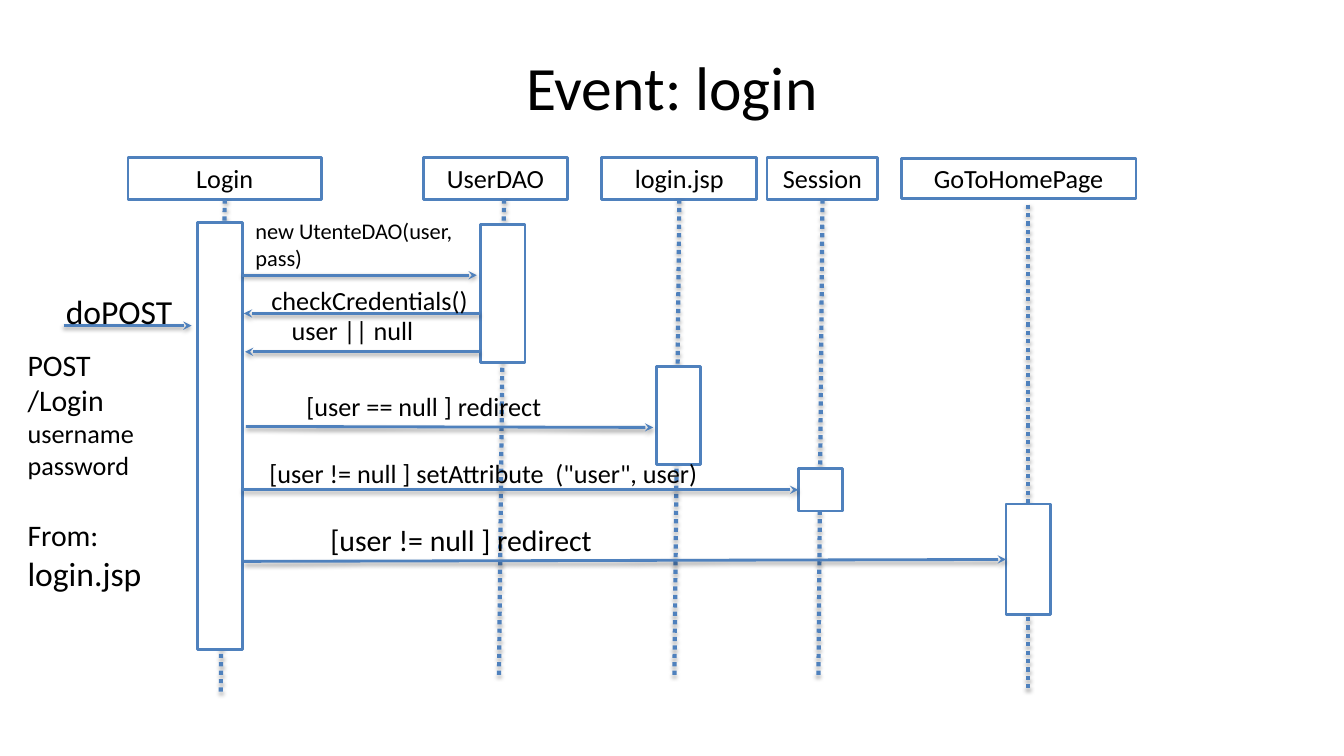
from lxml import etree
from pptx import Presentation
from pptx.dml.color import RGBColor
from pptx.enum.dml import MSO_LINE
from pptx.enum.shapes import MSO_CONNECTOR, MSO_SHAPE
from pptx.enum.text import MSO_ANCHOR, PP_ALIGN
from pptx.oxml import parse_xml
from pptx.oxml.ns import nsdecls, qn
from pptx.util import Pt

RECTANGLE = MSO_SHAPE.RECTANGLE
STRAIGHT = MSO_CONNECTOR.STRAIGHT
DOTTED = MSO_LINE.ROUND_DOT
MIDDLE, TOP = MSO_ANCHOR.MIDDLE, MSO_ANCHOR.TOP
LEFT, CENTER = PP_ALIGN.LEFT, PP_ALIGN.CENTER
BLUE, BLACK, WHITE = "4F81BD", "000000", "FFFFFF"
FONT = "Calibri"
LEFT_SIDE, BOTTOM_SIDE = 1, 2
LABEL_SIZE = 18.7

# participant: header box, lifeline ends, activation bar
PARTICIPANTS = {
    "Login": ((91.4, 112.3, 138.2, 30.2), (159.8, 142.5, 157.7, 496.1),
              (141.1, 159.1, 32.4, 304.6)),
    "UserDAO": ((302.4, 112.3, 103, 30.2), (360, 142.5, 356.4, 484.6),
                (343.4, 160.6, 31.7, 98.6)),
    "login.jsp": ((429.8, 112.3, 110.9, 30.2), (485.3, 142.5, 481.7, 484.6),
                  (468.7, 262.1, 31.7, 69.8)),
    "Session": ((547.9, 112.3, 79.2, 30.2), (587.5, 142.5, 584.6, 484.6),
                (570.2, 334.8, 31.7, 30.2)),
    "GoToHomePage": ((643.7, 113, 167.8, 28.8), (734.4, 146.2, 734.4, 492.5),
                     (718.6, 360, 31.7, 79.2)),
}
CENTRED_LIFELINES = ("Login", "login.jsp", "Session")

# label, label box, size, alignment, arrow ends, participant whose bar it joins
MESSAGES = [
    ("doPOST", (37.4, 203, 96.5, 28.8), 24, LEFT,
     (45.4, 232.6, 136.8, 232.6), None),
    ("new UtenteDAO(user, pass)", (172.8, 150.5, 180.7, 24.5), 16, LEFT,
     (172.8, 196.6, 340.6, 196.6), None),
    ("checkCredentials()", (184.3, 198, 168.5, 24.5), LABEL_SIZE, LEFT,
     (342.7, 223.9, 174.2, 223.9), None),
    ("user || null", (198.7, 219.6, 119.5, 28.8), LABEL_SIZE, LEFT,
     (342.7, 251.3, 175, 251.3), None),
    ("[user == null ] redirect", (191.5, 274.3, 222.5, 26.6), LABEL_SIZE, CENTER,
     (175.7, 304.6, 466.6, 305.3), None),
    ('[user != null ] setAttribute  ("user", user)', (182.9, 321.8, 326.9, 28.8),
     LABEL_SIZE, LEFT, (172.8, 349.9, 571.7, 349.9), "Session"),
    ("[user != null ] redirect", (179.3, 367.9, 300.2, 26.6), 21.3, CENTER,
     (174.2, 401, 718.6, 399.6), "GoToHomePage"),
]

# paragraphs of (text, size) runs
REQUEST = [
    [("POST", 21.3)],
    [("/Login", 21.3)],
    [("username", LABEL_SIZE)],
    [("password", LABEL_SIZE)],
    [("From: ", 21.3), ("login.jsp", 24)],
]


def rgb(hex_value):
    return RGBColor.from_string(hex_value)


def points(values):
    return [Pt(value) for value in values]


def apply_format(target, settings):
    for name, value in settings.items():
        setattr(target, name, value)


def write_text(frame, paragraphs, align, anchor):
    apply_format(frame, {
        "word_wrap": True, "vertical_anchor": anchor,
        "margin_left": Pt(9.6), "margin_right": Pt(9.6),
        "margin_top": Pt(4.8), "margin_bottom": Pt(4.8),
    })
    for index, runs in enumerate(paragraphs):
        paragraph = frame.add_paragraph() if index else frame.paragraphs[0]
        paragraph.alignment = align
        for text, size in runs:
            run = paragraph.add_run()
            run.text = text
            apply_format(run.font, {"name": FONT, "size": Pt(size)})
            run.font.color.rgb = rgb(BLACK)


def add_title(slide, text):
    title = slide.shapes.title
    apply_format(title, {"left": Pt(48), "top": Pt(21.6),
                         "width": Pt(864), "height": Pt(79.2)})
    write_text(title.text_frame, [[(text, 44)]], CENTER, MIDDLE)


def add_label(slide, bounds, paragraphs, align=LEFT):
    label = slide.shapes.add_textbox(*points(bounds))
    write_text(label.text_frame, paragraphs, align, TOP)
    return label


def add_box(slide, bounds, text=None):
    box = slide.shapes.add_shape(RECTANGLE, *points(bounds))
    box.shadow.inherit = False
    box.fill.solid()
    box.fill.fore_color.rgb = rgb(WHITE)
    box.line.color.rgb = rgb(BLUE)
    box.line.width = Pt(2)
    if text:
        write_text(box.text_frame, [[(text, LABEL_SIZE)]], CENTER, MIDDLE)
    return box


def add_line(slide, ends, width, shadow_distance, shadow_opacity):
    line = slide.shapes.add_connector(STRAIGHT, *points(ends))
    line.line.color.rgb = rgb(BLUE)
    line.line.width = Pt(width)
    line._element.spPr.append(parse_xml(
        f'<a:effectLst {nsdecls("a")}>'
        f'<a:outerShdw blurRad="{Pt(3.1)}" dist="{Pt(shadow_distance)}" '
        'dir="5400000" rotWithShape="0">'
        f'<a:srgbClr val="{BLACK}"><a:alpha val="{shadow_opacity * 1000}"/>'
        '</a:srgbClr></a:outerShdw></a:effectLst>'))
    return line


def add_lifeline(slide, ends):
    lifeline = add_line(slide, ends, 3, 1.8, 35)
    lifeline.line.dash_style = DOTTED
    return lifeline


def add_arrow(slide, ends):
    arrow = add_line(slide, ends, 2, 1.6, 38)
    outline = arrow._element.spPr.find(qn("a:ln"))
    etree.SubElement(outline, qn("a:tailEnd"), type="stealth")
    return arrow


def main():
    prs = Presentation()
    prs.slide_width, prs.slide_height = Pt(960), Pt(540)
    slide = prs.slides.add_slide(prs.slide_layouts[5])
    add_title(slide, "Event: login")

    activations = {}
    for name, (header_bounds, lifeline_ends, bar_bounds) in PARTICIPANTS.items():
        header = add_box(slide, header_bounds, name)
        lifeline = add_lifeline(slide, lifeline_ends)
        if name in CENTRED_LIFELINES:
            lifeline.begin_connect(header, BOTTOM_SIDE)
        activations[name] = add_box(slide, bar_bounds)

    for text, bounds, size, align, ends, receiver in MESSAGES:
        arrow = add_arrow(slide, ends)
        if receiver:
            arrow.end_connect(activations[receiver], LEFT_SIDE)
        add_label(slide, bounds, [[(text, size)]], align)

    request = add_label(slide, (10.1, 242.6, 126.7, 221), REQUEST)
    request.text_frame.paragraphs[-1].space_before = Pt(26)

    prs.save("out.pptx")


if __name__ == "__main__":
    main()
